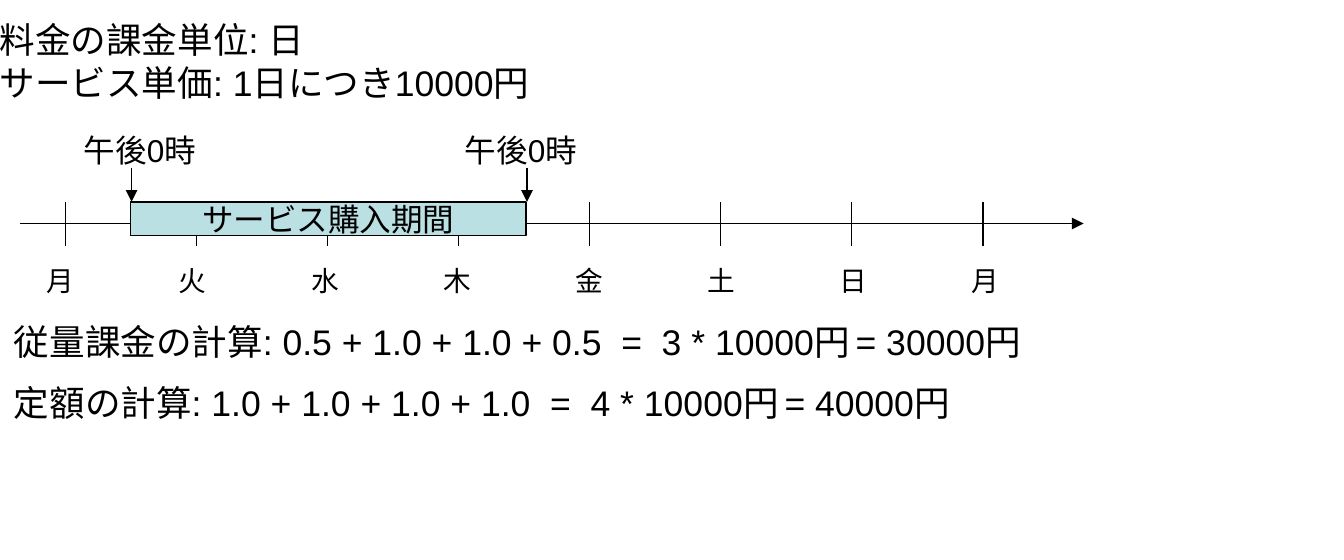
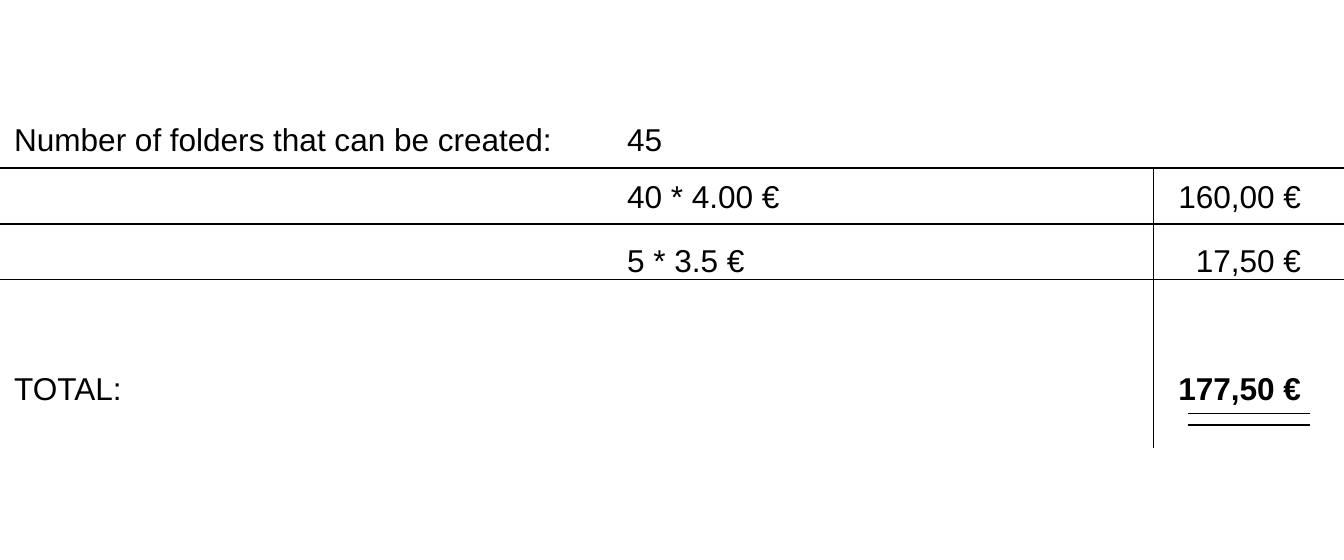
from dataclasses import dataclass

from pptx import Presentation
from pptx.dml.color import RGBColor
from pptx.enum.shapes import MSO_CONNECTOR, MSO_SHAPE
from pptx.enum.text import MSO_ANCHOR, MSO_AUTO_SIZE, PP_ALIGN
from pptx.oxml.ns import qn
from pptx.oxml.xmlchemy import OxmlElement
from pptx.util import Pt


@dataclass(frozen=True)
class Theme:
    font: str = "Arial"
    ink: RGBColor = RGBColor(0x00, 0x00, 0x00)
    paper: RGBColor = RGBColor(0xFF, 0xFF, 0xFF)
    bar: RGBColor = RGBColor(0xBB, 0xE0, 0xE3)
    stroke: float = 0.75
    gap: int = 13
    small: int = 14
    body: int = 16
    large: int = 18
    plain: str = "{2D5ABB26-0587-4C30-8999-92F81FD0307C}"


class Deck:
    def __init__(self, theme, width, height):
        self.theme = theme
        self.prs = Presentation()
        self.prs.slide_width = Pt(width)
        self.prs.slide_height = Pt(height)
        self.slide = None

    def page(self):
        self.slide = self.prs.slides.add_slide(self.prs.slide_layouts[6])
        fill = self.slide.background.fill
        fill.solid()
        fill.fore_color.rgb = self.theme.paper

    def runs(self, para, parts, align=PP_ALIGN.LEFT, bold=False):
        para.alignment = align
        for text, size in parts:
            run = para.add_run()
            run.text = text
            font = run.font
            font.name = self.theme.font
            font.size = Pt(size)
            font.bold = bold
            font.color.rgb = self.theme.ink

    def text(self, x, y, w, h, lines, wrap=False):
        frame = self.slide.shapes.add_textbox(Pt(x), Pt(y), Pt(w), Pt(h)).text_frame
        frame.word_wrap = wrap
        frame.auto_size = MSO_AUTO_SIZE.SHAPE_TO_FIT_TEXT
        for i, parts in enumerate(lines):
            para = frame.add_paragraph() if i else frame.paragraphs[0]
            self.runs(para, parts)

    def line(self, x1, y1, x2, y2, arrow=False):
        line = self.slide.shapes.add_connector(
            MSO_CONNECTOR.STRAIGHT, Pt(x1), Pt(y1), Pt(x2), Pt(y2))
        line.line.color.rgb = self.theme.ink
        line.line.width = Pt(self.theme.stroke)
        props = line._element.spPr
        if arrow:
            tip = OxmlElement("a:tailEnd")
            tip.set("type", "triangle")
            props.find(qn("a:ln")).append(tip)
        props.append(OxmlElement("a:effectLst"))

    def bar(self, x, y, w, h, text):
        bar = self.slide.shapes.add_shape(MSO_SHAPE.RECTANGLE, Pt(x), Pt(y), Pt(w), Pt(h))
        bar.shadow.inherit = False
        bar.fill.solid()
        bar.fill.fore_color.rgb = self.theme.bar
        bar.line.color.rgb = self.theme.ink
        bar.line.width = Pt(self.theme.stroke)
        frame = bar.text_frame
        frame.word_wrap = False
        frame.vertical_anchor = MSO_ANCHOR.MIDDLE
        self.runs(frame.paragraphs[0], [(text, self.theme.body)], PP_ALIGN.CENTER)

    def table(self, x, y, cols, rows, data):
        table = self.slide.shapes.add_table(
            len(rows), len(cols), Pt(x), Pt(y), Pt(sum(cols)), Pt(sum(rows))).table
        table.first_row = False
        table.horz_banding = False
        table._tbl.tblPr.find(qn("a:tableStyleId")).text = self.theme.plain
        for col, width in zip(table.columns, cols):
            col.width = Pt(width)
        last = len(cols) - 1
        for r, (row, height) in enumerate(zip(data, rows)):
            table.rows[r].height = Pt(height)
            for c, text in enumerate(row):
                cell = table.cell(r, c)
                cell.fill.background()
                cell.vertical_anchor = MSO_ANCHOR.BOTTOM
                if text:
                    align = PP_ALIGN.RIGHT if c == last else PP_ALIGN.LEFT
                    bold = c == last and r == len(rows) - 1
                    self.runs(cell.text_frame.paragraphs[0],
                              [(text, self.theme.body)], align, bold)


def billing(deck):
    theme = deck.theme
    deck.page()
    axis, top, base = 113.2, 102.2, 124.6
    first, step = 33.1, 66.35
    start, span = 66.6, 200.2
    deck.line(10, axis, 548.6, axis, arrow=True)
    for i, day in enumerate("月火水木金土日月"):
        x = first + i * step
        deck.line(x, top, x, base)
        deck.text(16.6 + i * 66.9, 130.3, 28, 24.5, [[(day, theme.small)]])
    deck.bar(start - 0.4, top, span, 17.2, "サービス購入期間")
    for tip, left in ((start, 35.3), (start + span, 228.2)):
        deck.line(tip, 85, tip, top, arrow=True)
        deck.text(left, 62.6, 78.5, 26.6, [[("午後0時", theme.body)]])
    deck.text(-7.2, 5.8, 299.5, 50.4, [
        [("料金の課金単位: 日", theme.large)],
        [("サービス単価: 1日につき10000円", theme.large)],
    ])
    sums = (
        (158.4, "従量課金の計算: 0.5 + 1.0 + 1.0 + 0.5  =  3 * 10000円", "= 30000円"),
        (189.4, "定額の計算: 1.0 + 1.0 + 1.0 + 1.0  =  4 * 10000円", "= 40000円"),
    )
    for y, work, total in sums:
        parts = [(work, theme.large), (" ", theme.gap), (total, theme.large)]
        deck.text(0, y, 598, 28.8, [parts], wrap=True)


def folders(deck):
    deck.page()
    top, step = 85, 28.35
    for i in range(3):
        y = top + i * step
        deck.line(0, y, 680.4, y)
    deck.line(583.9, top, 583.9, 226.8)
    for y in (209.5, 215.3):
        deck.line(601.2, y, 663.1, y)
    deck.table(0, 51.1, (310.3, 278.6, 77), (32.4, 28.8, 32.4, 32.4, 32.4), (
        ("Number of folders that can be created:", "45", ""),
        ("", "40 * 4.00 €", "160,00 €"),
        ("", "5 * 3.5 €", "17,50 €"),
        ("", "", ""),
        ("TOTAL:", "", "177,50 €"),
    ))


def main():
    deck = Deck(Theme(), 680.4, 283.6)
    billing(deck)
    folders(deck)
    deck.prs.save("out.pptx")


if __name__ == "__main__":
    main()
